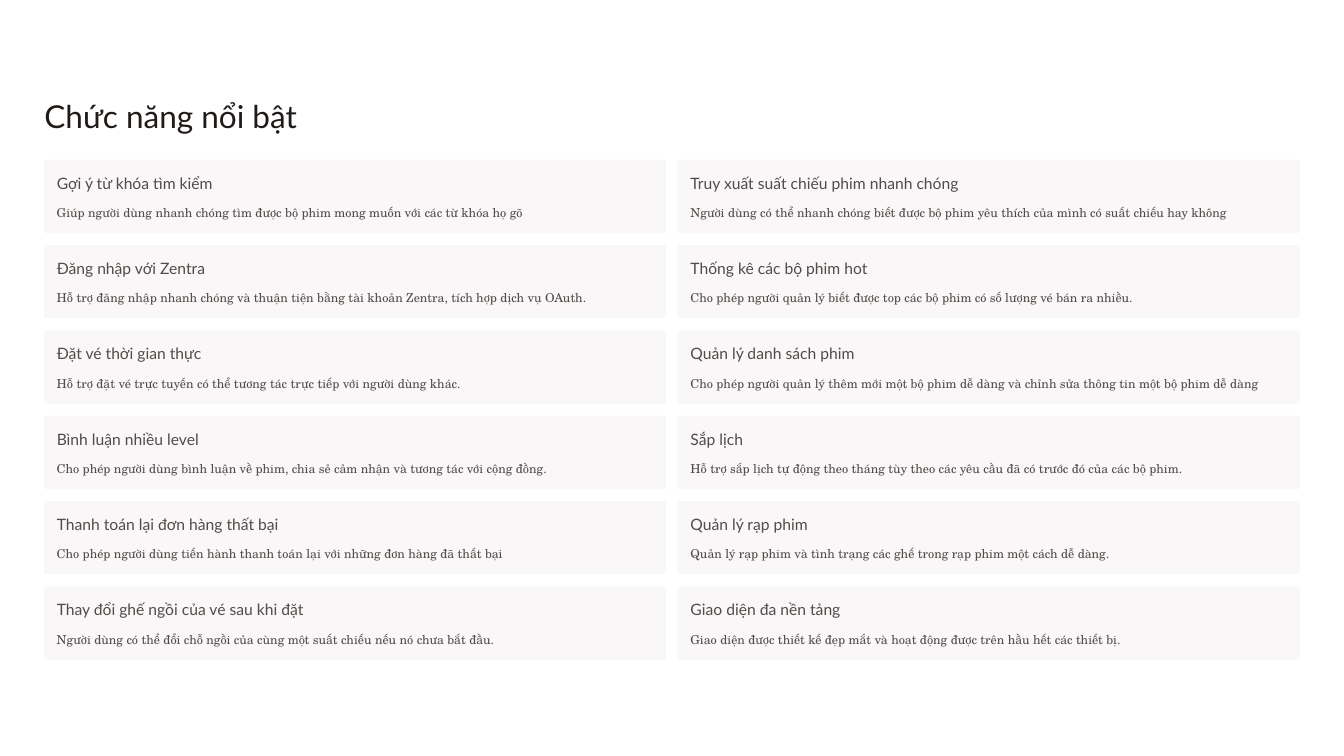
from dataclasses import dataclass

from pptx import Presentation
from pptx.dml.color import RGBColor
from pptx.enum import shapes
from pptx.util import Inches, Pt


@dataclass(frozen=True)
class Theme:
    """Colours and type styles: font, size, line spacing, colour."""
    page: str = "FFFFFF"
    card: str = "F9F7F7"
    title: tuple = ("Lato", 16.9, 20.9, "201B18")
    head: tuple = ("Lato", 8.4, 10.3, "504C49")
    body: tuple = ("TeX Gyre Schola", 6.6, 10.6, "504C49")


THEME = Theme()
WIDE = 10
HIGH = WIDE * 9 / 16
EDGE, GAP, COLS = 0.33, 0.09, 2
TITLE = "Chức năng nổi bật"
CARDS = [
    ("Gợi ý từ khóa tìm kiểm",
     "Giúp người dùng nhanh chóng tìm được bộ phim mong muốn với các từ khóa họ gõ"),
    ("Truy xuất suất chiếu phim nhanh chóng",
     "Người dùng có thể nhanh chóng biết được bộ phim yêu thích của mình có suất chiếu hay không"),
    ("Đăng nhập với Zentra",
     "Hỗ trợ đăng nhập nhanh chóng và thuận tiện bằng tài khoản Zentra, tích hợp dịch vụ OAuth."),
    ("Thống kê các bộ phim hot",
     "Cho phép người quản lý biết được top các bộ phim có số lượng vé bán ra nhiều."),
    ("Đặt vé thời gian thực",
     "Hỗ trợ đặt vé trực tuyến có thể tương tác trực tiếp với người dùng khác."),
    ("Quản lý danh sách phim",
     "Cho phép người quản lý thêm mới một bộ phim dễ dàng và chỉnh sửa thông tin một bộ phim dễ dàng"),
    ("Bình luận nhiều level",
     "Cho phép người dùng bình luận về phim, chia sẻ cảm nhận và tương tác với cộng đồng."),
    ("Sắp lịch",
     "Hỗ trợ sắp lịch tự động theo tháng tùy theo các yêu cầu đã có trước đó của các bộ phim."),
    ("Thanh toán lại đơn hàng thất bại",
     "Cho phép người dùng tiến hành thanh toán lại với những đơn hàng đã thất bại"),
    ("Quản lý rạp phim",
     "Quản lý rạp phim và tình trạng các ghế trong rạp phim một cách dễ dàng."),
    ("Thay đổi ghế ngồi của vé sau khi đặt",
     "Người dùng có thể đổi chỗ ngồi của cùng một suất chiếu nếu nó chưa bắt đầu."),
    ("Giao diện đa nền tảng",
     "Giao diện được thiết kế đẹp mắt và hoạt động được trên hầu hết các thiết bị."),
]


def write(slide, box, words, style):
    """Place one line of text in a box without margins."""
    face, size, lead, tint = style
    frame = slide.shapes.add_textbox(*map(Inches, box)).text_frame
    frame.margin_left = frame.margin_right = 0
    frame.margin_top = frame.margin_bottom = 0
    frame.word_wrap = False
    frame.text = words
    line = frame.paragraphs[0]
    line.line_spacing = Pt(lead)
    font = line.runs[0].font
    font.name, font.size = face, Pt(size)
    font.color.rgb = RGBColor.from_string(tint)


def card(slide, box, head, body):
    """Draw a panel with its heading and description."""
    left, top, width, height = box
    panel = slide.shapes.add_shape(
        shapes.MSO_SHAPE.ROUNDED_RECTANGLE, *map(Inches, box))
    panel.adjustments[0] = 0.03
    panel.shadow.inherit = False
    panel.fill.solid()
    panel.fill.fore_color.rgb = RGBColor.from_string(THEME.card)
    panel.line.fill.background()
    inset = 0.02 * width
    write(slide, (left + inset, top + 0.18 * height, 0.52 * width, 0.28 * height),
          head, THEME.head)
    write(slide, (left + inset, top + 0.55 * height, width - 2 * inset, 0.28 * height),
          body, THEME.body)


def grid(slide, box, cards):
    """Spread the cards row by row over equal cells."""
    left, top, width, height = box
    rows = -(-len(cards) // COLS)
    wide = (width - GAP * (COLS - 1)) / COLS
    high = (height - GAP * (rows - 1)) / rows
    for i, (head, body) in enumerate(cards):
        row, col = divmod(i, COLS)
        cell = (left + col * (wide + GAP), top + row * (high + GAP), wide, high)
        card(slide, cell, head, body)


def main():
    """Build the feature slide and save it."""
    deck = Presentation()
    deck.slide_width, deck.slide_height = Inches(WIDE), Inches(HIGH)
    slide = deck.slides.add_slide(deck.slide_layouts[6])
    fill = slide.background.fill
    fill.solid()
    fill.fore_color.rgb = RGBColor.from_string(THEME.page)
    write(slide, (EDGE, 0.71, 2.35, 0.29), TITLE, THEME.title)
    grid(slide, (EDGE, 1.19, WIDE - 2 * EDGE, 3.72), CARDS)
    deck.save("out.pptx")


if __name__ == "__main__":
    main()
